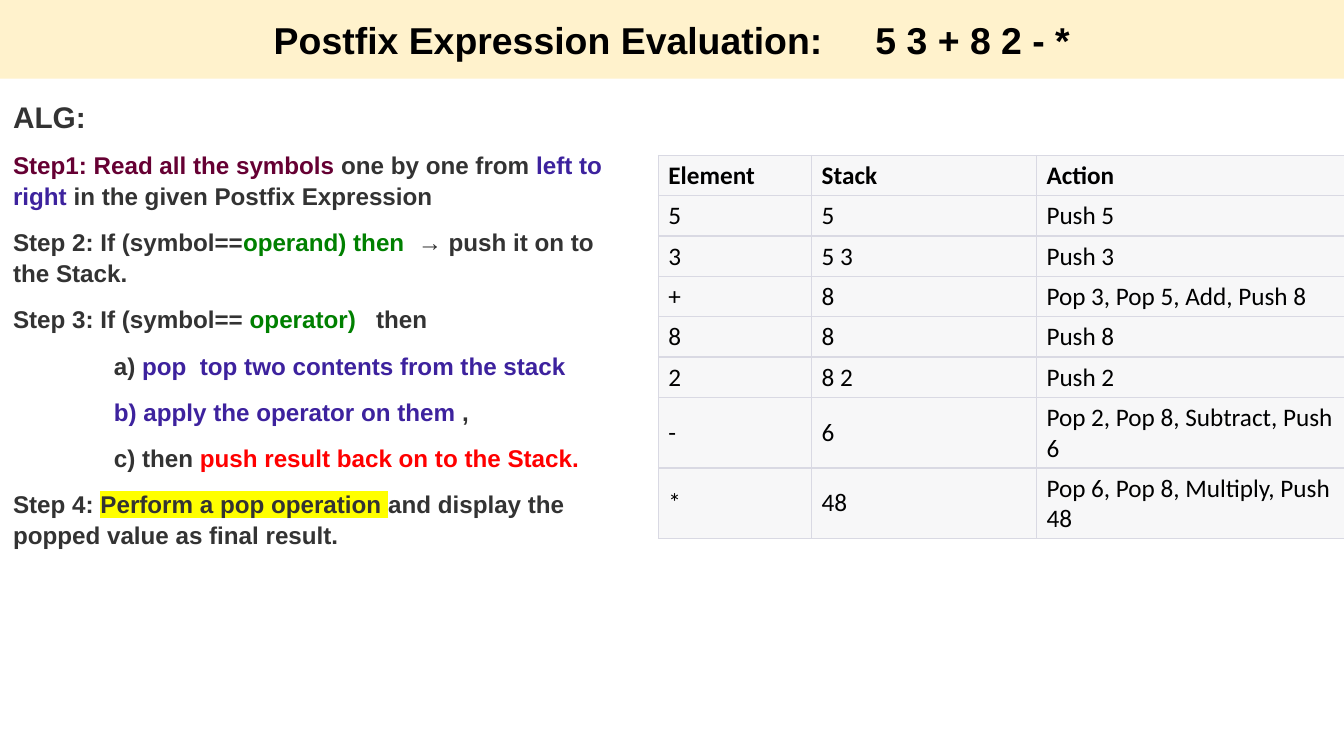
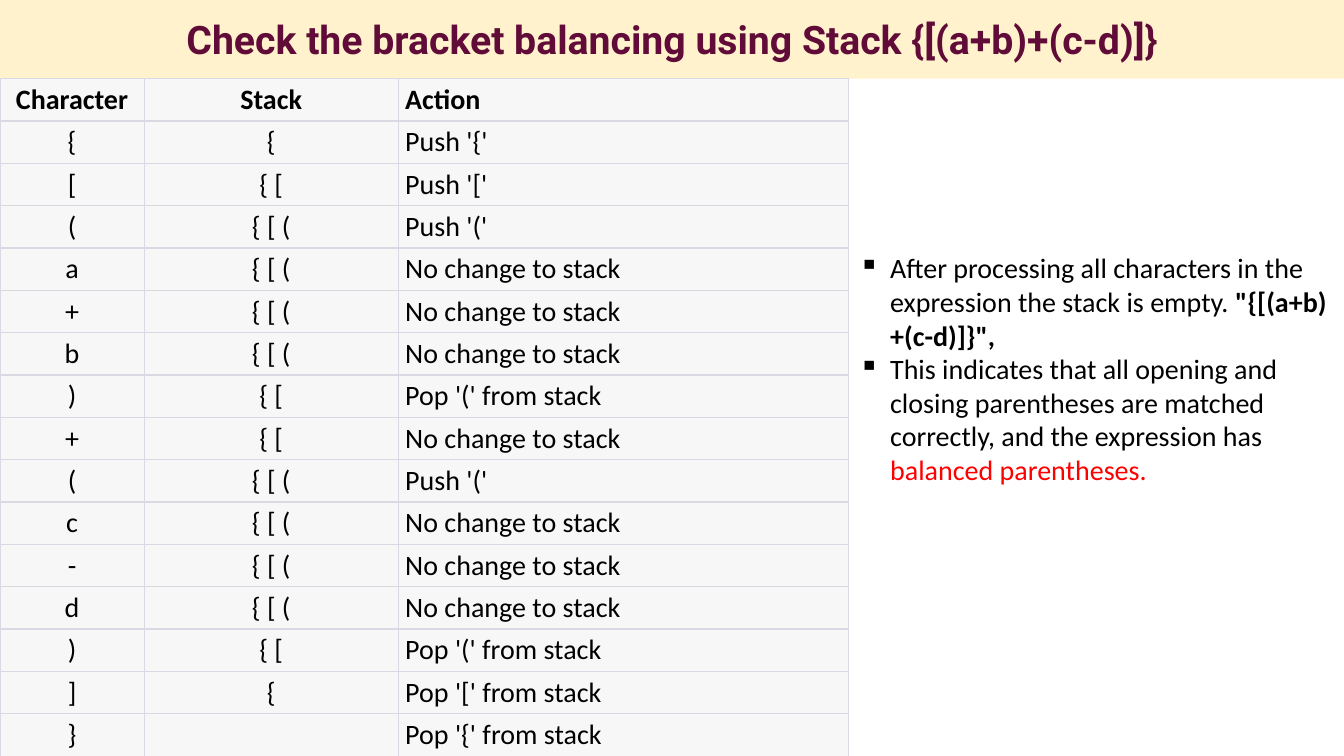
"""Build two slides on stack uses: postfix evaluation and bracket balancing."""
from lxml.etree import SubElement
from pptx import Presentation
from pptx.dml.color import RGBColor
from pptx.enum.text import MSO_ANCHOR, MSO_AUTO_SIZE, PP_ALIGN
from pptx.oxml import parse_xml
from pptx.oxml.ns import nsdecls, qn
from pptx.util import Inches, Pt

BAND, CELL, BORDER = "FFF2CC", "F7F7F8", "D9D9E3"
BLACK, GREY, PLUM, WINE = "000000", "333333", "660033", "610B38"
INDIGO, GREEN, RED, YELLOW = "3D229E", "008000", "FF0000", "FFFF00"
SLIDE_WIDTH, BAND_HEIGHT = 13.33, 0.78

POSTFIX_TITLE = [("Postfix Expression Evaluation:", {}), (" ", {"gap": 29.7}),
                 ("5 3 + 8 2 - *", {})]
BRACKET_TITLE = [("Check the bracket balancing using Stack {[(a+b)+(c-d)]}", {})]

STEPS = [
    (0, [("Step1: Read all the symbols", {"color": PLUM}), (" one by one from ", {}),
         ("left to right ", {"color": INDIGO}), ("in the given Postfix Expression", {})]),
    (0, [("Step 2: If (symbol==", {}), ("operand) then", {"color": GREEN}),
         (" ", {"gap": 4.8}), ("→ push it on to the Stack.", {})]),
    (0, [("Step 3: If (symbol== ", {}), ("operator)", {"color": GREEN}),
         (" ", {"gap": 9.6}), ("then", {})]),
    (1, [("a) ", {}), ("pop", {"color": INDIGO}), (" ", {"gap": 4.8}),
         ("top two contents from the stack", {"color": INDIGO})]),
    (1, [("b) apply the operator on them ", {"color": INDIGO}), (",", {})]),
    (1, [("c) then ", {}), ("push result back on to the Stack.", {"color": RED})]),
    (0, [("Step 4: ", {}), ("Perform a pop operation ", {"highlight": YELLOW}),
         ("and display the popped value as final result.", {})]),
]

POSTFIX_TRACE = [
    ("Element", "Stack", "Action"),
    ("5", "5", "Push 5"),
    ("3", "5 3", "Push 3"),
    ("+", "8", "Pop 3, Pop 5, Add, Push 8"),
    ("8", "8", "Push 8"),
    ("2", "8 2", "Push 2"),
    ("-", "6", "Pop 2, Pop 8, Subtract, Push 6"),
    ("*", "48", "Pop 6, Pop 8, Multiply, Push 48"),
]

NO_CHANGE = "No change to stack"
BRACKET_TRACE = [
    ("Character", "Stack", "Action"),
    ("{", "{", "Push '{'"),
    ("[", "{ [", "Push '['"),
    ("(", "{ [ (", "Push '('"),
    ("a", "{ [ (", NO_CHANGE),
    ("+", "{ [ (", NO_CHANGE),
    ("b", "{ [ (", NO_CHANGE),
    (")", "{ [", "Pop '(' from stack"),
    ("+", "{ [", NO_CHANGE),
    ("(", "{ [ (", "Push '('"),
    ("c", "{ [ (", NO_CHANGE),
    ("-", "{ [ (", NO_CHANGE),
    ("d", "{ [ (", NO_CHANGE),
    (")", "{ [", "Pop '(' from stack"),
    ("]", "{", "Pop '[' from stack"),
    ("}", "", "Pop '{' from stack"),
]

CONCLUSIONS = [
    [("After processing all characters in the expression the stack is empty. ", {}),
     ('"{[(a+b)+(c-d)]}",', {"bold": True})],
    [("This indicates that all opening and closing parentheses are matched correctly, "
      "and the expression has ", {}), ("balanced parentheses.", {"color": RED})],
]


def rgb(value):
    return RGBColor.from_string(value)


def set_font(paragraph, name, size, color, bold=False):
    font = paragraph.font
    font.name, font.size, font.bold = name, Pt(size), bold
    font.color.rgb = rgb(color)


def add_runs(paragraph, runs):
    for text, style in runs:
        run = paragraph.add_run()
        run.text = text
        properties = run.font
        if "color" in style:
            properties.color.rgb = rgb(style["color"])
        if "bold" in style:
            properties.bold = style["bold"]
        element = run._r.get_or_add_rPr()
        if "gap" in style:
            element.set("spc", str(round(style["gap"] * 100)))
        if "highlight" in style:
            highlight = SubElement(element, qn("a:highlight"))
            SubElement(highlight, qn("a:srgbClr"), val=style["highlight"])


def set_margins(frame, side, end):
    frame.margin_left = frame.margin_right = Inches(side)
    frame.margin_top = frame.margin_bottom = Inches(end)


def add_titled_slide(deck, runs, font_name, size, color):
    slide = deck.slides.add_slide(deck.slide_layouts[5])
    title = slide.shapes.title
    title.left = title.top = Inches(0)
    title.width, title.height = Inches(SLIDE_WIDTH), Inches(BAND_HEIGHT)
    title.fill.solid()
    title.fill.fore_color.rgb = rgb(BAND)
    frame = title.text_frame
    frame.word_wrap, frame.auto_size = True, MSO_AUTO_SIZE.NONE
    frame.vertical_anchor = MSO_ANCHOR.MIDDLE
    set_margins(frame, 0.13, 0.07)
    heading = frame.paragraphs[0]
    heading.alignment = PP_ALIGN.CENTER
    set_font(heading, font_name, size, color, True)
    add_runs(heading, runs)
    return slide


def add_text_frame(slide, left, top, width, height):
    box = slide.shapes.add_textbox(Inches(left), Inches(top), Inches(width), Inches(height))
    box.text_frame.word_wrap = True
    return box.text_frame


def set_borders(cell, widths):
    properties = cell._tc.get_or_add_tcPr()
    for index, (side, width) in enumerate(widths.items()):
        properties.insert(index, parse_xml(
            f'<a:ln{side} {nsdecls("a")} w="{Pt(width)}"><a:solidFill>'
            f'<a:srgbClr val="{BORDER}"/></a:solidFill></a:ln{side}>'))


def add_trace(slide, left, top, column_widths, row_heights, trace, size,
              centred_columns=(), margins=(0.1, 0.05)):
    table = slide.shapes.add_table(
        len(trace), len(column_widths), Inches(left), Inches(top),
        Inches(sum(column_widths)), Inches(sum(row_heights))).table
    table.first_row = table.horz_banding = False
    for column, width in zip(table.columns, column_widths):
        column.width = Inches(width)
    for row, height in zip(table.rows, row_heights):
        row.height = Inches(height)
    last = len(trace) - 1
    for row, entries in enumerate(trace):
        for column, text in enumerate(entries):
            cell = table.cell(row, column)
            cell.text = text
            cell.fill.solid()
            cell.fill.fore_color.rgb = rgb(CELL)
            cell.vertical_anchor = MSO_ANCHOR.MIDDLE if row else MSO_ANCHOR.BOTTOM
            set_margins(cell, *margins)
            set_borders(cell, {"L": 0.75, "R": 0.75, "T": 1 if row else 0.75,
                               "B": 1 if row < last else 0.75})
            entry = cell.text_frame.paragraphs[0]
            if column in centred_columns:
                entry.alignment = PP_ALIGN.CENTER
            set_font(entry, "Calibri", size, BLACK, row == 0)


def add_algorithm(slide):
    frame = add_text_frame(slide, 0, 0.91, 6.34, 6.25)
    set_margins(frame, 0.13, 0.07)
    heading = frame.paragraphs[0]
    heading.text = "ALG:"
    heading.space_after = Pt(10)
    set_font(heading, "Arial", 21.3, GREY, True)
    for level, runs in STEPS:
        step = frame.add_paragraph()
        step.line_spacing, step.space_after = 1.07, Pt(10.7)
        step._p.get_or_add_pPr().set("marL", str(Inches(level)))
        set_font(step, "Arial", 17.3, GREY, True)
        add_runs(step, runs)


def add_conclusions(slide):
    frame = add_text_frame(slide, 8.42, 2.44, 4.92, 2.46)
    for index, runs in enumerate(CONCLUSIONS):
        point = frame.add_paragraph() if index else frame.paragraphs[0]
        properties = point._p.get_or_add_pPr()
        properties.set("marL", str(Inches(0.31)))
        properties.set("indent", str(Inches(-0.31)))
        SubElement(properties, qn("a:buChar"), char="▪")
        set_font(point, "Calibri", 20, BLACK)
        add_runs(point, runs)


def main():
    deck = Presentation()
    deck.slide_width, deck.slide_height = Inches(SLIDE_WIDTH), Inches(7.5)

    postfix = add_titled_slide(deck, POSTFIX_TITLE, "Arial", 26.7, BLACK)
    add_algorithm(postfix)
    add_trace(postfix, 6.53, 1.54, [1.52, 2.23, 3.05], [0.4] * 6 + [0.7] * 2,
              POSTFIX_TRACE, 18)

    brackets = add_titled_slide(deck, BRACKET_TITLE, "Roboto", 28, WINE)
    row_height = 6.62 / len(BRACKET_TRACE)
    add_trace(brackets, 0, BAND_HEIGHT, [1.43, 2.52, 4.47],
              [row_height] * len(BRACKET_TRACE), BRACKET_TRACE, 20, (0, 1), (0.07, 0.04))
    add_conclusions(brackets)

    deck.save("out.pptx")


if __name__ == "__main__":
    main()
